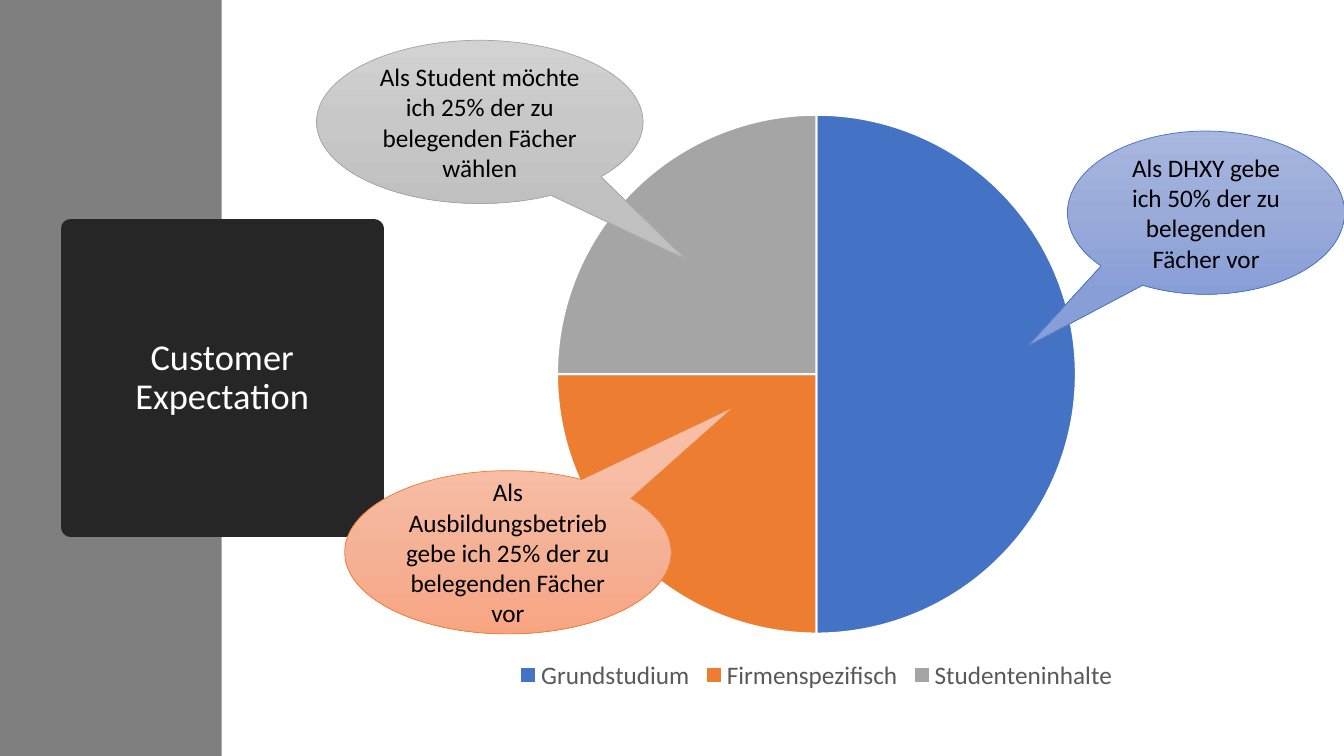
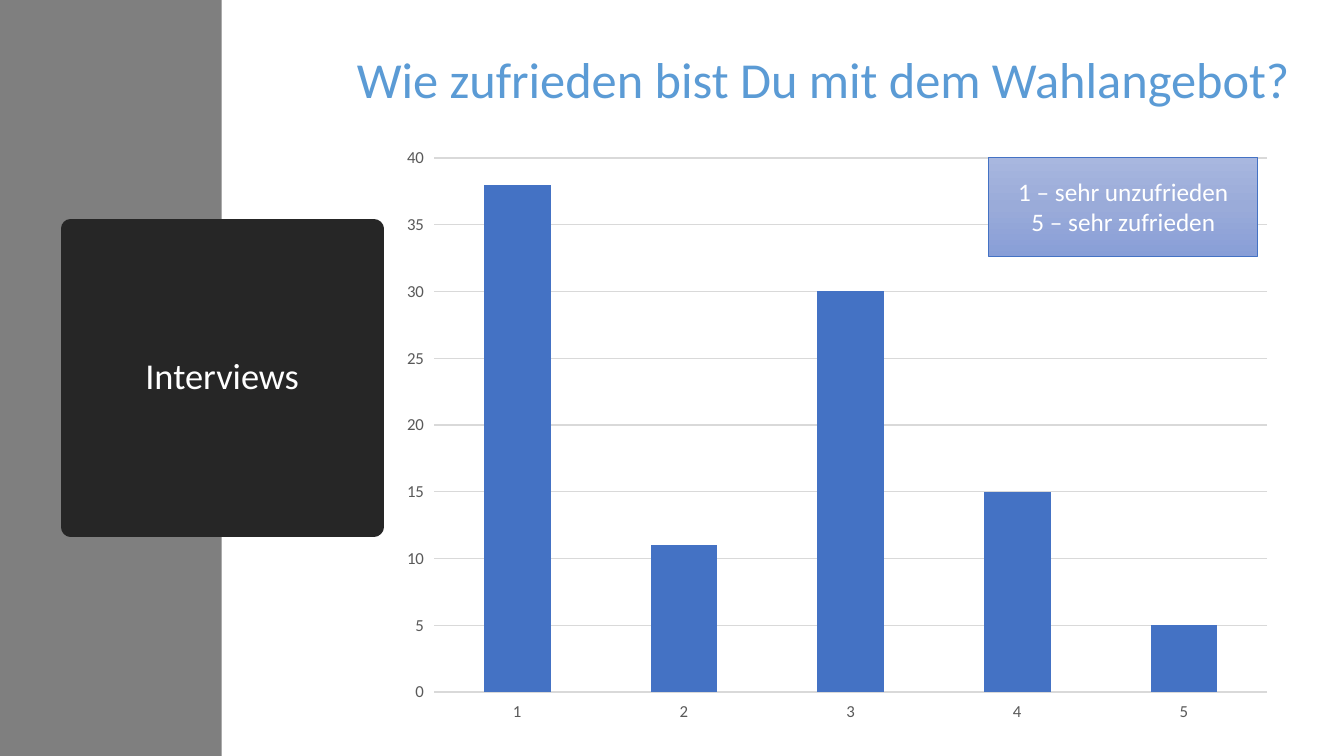
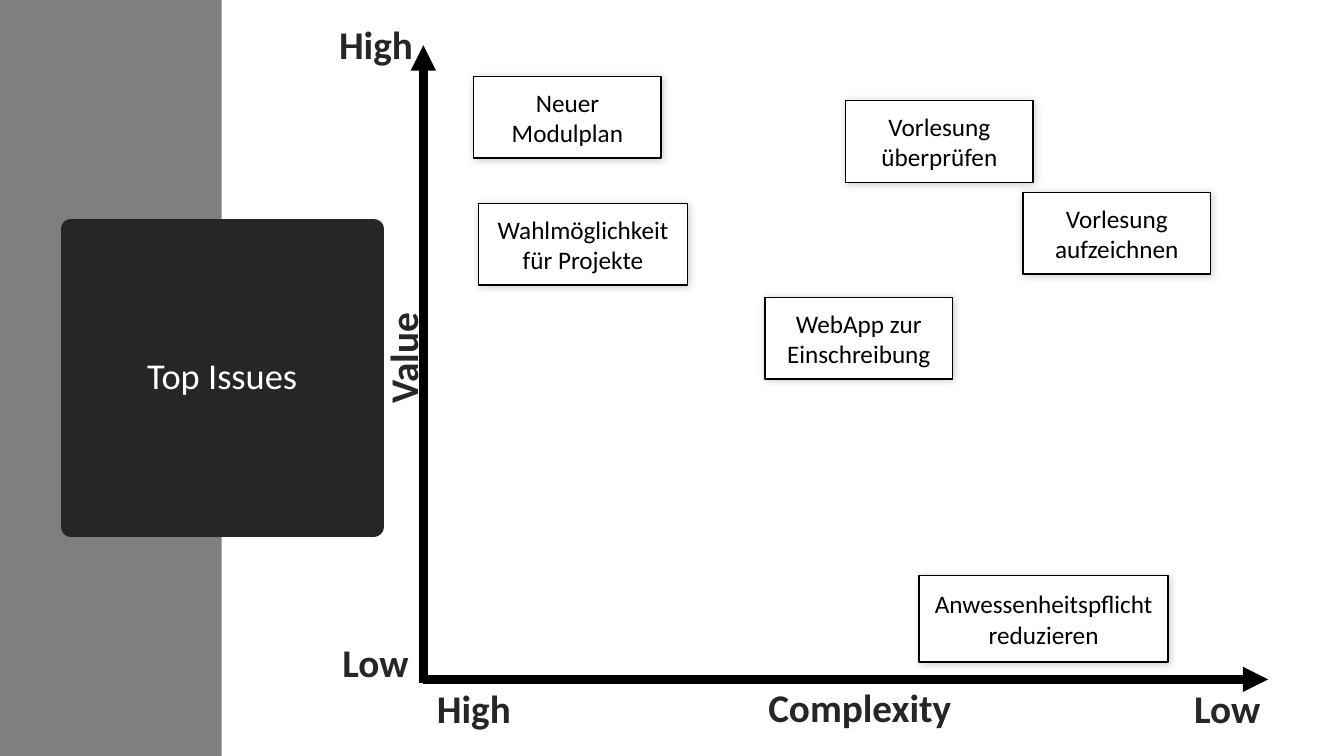
from copy import deepcopy
from dataclasses import dataclass

from lxml import etree
from pptx import Presentation
from pptx.chart.data import CategoryChartData
from pptx.dml.color import RGBColor
from pptx.enum.chart import XL_CHART_TYPE, XL_LEGEND_POSITION
from pptx.enum.shapes import MSO_CONNECTOR, MSO_SHAPE
from pptx.enum.text import MSO_ANCHOR, MSO_AUTO_SIZE, PP_ALIGN
from pptx.oxml.ns import qn
from pptx.util import Pt

RECT, CALLOUT = MSO_SHAPE.RECTANGLE, MSO_SHAPE.OVAL_CALLOUT
PIE, COLUMN = XL_CHART_TYPE.PIE, XL_CHART_TYPE.COLUMN_STACKED
BOTTOM = XL_LEGEND_POSITION.BOTTOM
STRAIGHT = MSO_CONNECTOR.STRAIGHT
MIDDLE, CENTER = MSO_ANCHOR.MIDDLE, PP_ALIGN.CENTER
GROW = MSO_AUTO_SIZE.SHAPE_TO_FIT_TEXT


@dataclass(frozen=True)
class Theme:
    font: str = "Calibri"
    band: str = "7F7F7F"
    dark: str = "262626"
    white: str = "FFFFFF"
    black: str = "000000"
    muted: str = "595959"
    grid: str = "D9D9D9"
    blue: str = "4472C4"
    orange: str = "ED7D31"
    gray: str = "A5A5A5"
    blue_grad: tuple = ("A8B7DF", "9AABD9", "889ED7")
    orange_grad: tuple = ("F7BDA5", "F5B196", "F8A582")
    gray_grad: tuple = ("D2D2D2", "C8C8C8", "C0C0C0")
    headline_grad: tuple = ("1F4E79", "5B9BD5", "9DC3E6")
    headline_size: int = 36
    label_size: int = 28
    title_size: int = 26
    body_size: int = 18
    axis_size: int = 12


T = Theme()

SLIDE_W, SLIDE_H = 960, 540
BAND_W = 158.4
TITLE_BOX = (50.4, 163.4, 216.7, 213.1)

SHARES = [("Grundstudium", 50, T.blue), ("Firmenspezifisch", 25, T.orange),
          ("Studenteninhalte", 25, T.gray)]
PIE_BOX = (226.1, 72, 714.2, 424.8)
CALLOUTS = [
    ("Als DHXY gebe ich 50% der zu belegenden Fächer vor",
     (762.5, 93.6, 198, 116.6), (-0.643, 0.817), T.blue_grad, T.blue),
    ("Als Ausbildungsbetrieb gebe ich 25% der zu belegenden Fächer vor",
     (246.2, 336.2, 233.3, 116.6), (0.693, -0.892), T.orange_grad, T.orange),
    ("Als Student möchte ich 25% der zu belegenden Fächer wählen",
     (226.1, 28.8, 233.3, 116.6), (0.63, 0.84), T.gray_grad, T.gray),
]

HEADLINE = "Wie zufrieden bist Du mit dem Wahlangebot?"
HEADLINE_BOX = (244.8, 31, 686.9, 51.1)
RATINGS = [("1", 38), ("2", 11), ("3", 30), ("4", 15), ("5", 5)]
COLUMN_BOX = (277.9, 97.2, 640.1, 427)
SCALE = ["1 – sehr unzufrieden", "5 – sehr zufrieden"]
SCALE_BOX = (706.3, 112.3, 192.2, 70.6)

AXES = [(302.4, 485.3, 905.8, 485.3), (302.4, 488.2, 302.4, 32.4)]
LABEL_H = 41
AXIS_LABELS = [
    ("High", 234.7, 10.8, 67.7, 0),
    ("Low", 236.9, 452.2, 62.6, 0),
    ("High", 304.6, 485.3, 67.7, 0),
    ("Low", 845.3, 485.3, 62.6, 0),
    ("Value", 247.7, 235.4, 79.9, 270),
    ("Complexity", 540.7, 484.6, 146.9, 0),
]
ISSUES = [
    ("Neuer Modulplan", (338.4, 54.7, 133.9, 58.3)),
    ("WebApp zur Einschreibung", (546.5, 212.4, 133.9, 58.3)),
    ("Anwessenheitspflicht reduzieren", (656.6, 411.1, 177.8, 61.9)),
    ("Vorlesung überprüfen", (604.1, 72, 133.9, 58.3)),
    ("Vorlesung aufzeichnen", (730.8, 137.5, 133.9, 58.3)),
    ("Wahlmöglichkeit für Projekte", (342, 145.4, 149, 58.3)),
]


def rgb(color):
    return RGBColor.from_string(color)


def pts(box):
    return [Pt(v) for v in box]


def add_xml(parent, tag, **attrs):
    return etree.SubElement(parent, qn(tag), {k: str(v) for k, v in attrs.items()})


def paint(fill, color):
    fill.solid()
    fill.fore_color.rgb = rgb(color)


def stroke(line, color, width):
    paint(line.fill, color)
    line.width = Pt(width)


def gradient(fill, element, colors):
    fill.gradient()
    fill.gradient_angle = 270
    stops = element.find(".//" + qn("a:gsLst"))
    stops.insert(1, deepcopy(stops[0]))
    for stop, position, color in zip(fill.gradient_stops, (0, 0.5, 1), colors):
        stop.position = position
        stop.color.rgb = rgb(color)


def style(font, size, color):
    font.name, font.size = T.font, Pt(size)
    font.color.rgb = rgb(color)


def write(tf, lines, size, color):
    runs = []
    for i, line in enumerate(lines):
        p = tf.add_paragraph() if i else tf.paragraphs[0]
        p.alignment = CENTER
        r = p.add_run()
        r.text = line
        style(r.font, size, color)
        runs.append(r)
    return runs


def add_box(slide, kind, box, lines=(), color=T.black):
    sp = slide.shapes.add_shape(kind, *pts(box))
    sp.shadow.inherit = False
    sp.text_frame.vertical_anchor = MIDDLE
    write(sp.text_frame, lines, T.body_size, color)
    return sp


def add_text(slide, box, text, size, color):
    sp = slide.shapes.add_textbox(*pts(box))
    tf = sp.text_frame
    tf.word_wrap = False
    tf.auto_size = GROW
    return sp, write(tf, [text], size, color)[0]


def add_chart(slide, kind, box, rows):
    data = CategoryChartData()
    data.categories = [row[0] for row in rows]
    data.add_series("Series 1", [row[1] for row in rows])
    chart = slide.shapes.add_chart(kind, *pts(box), data).chart
    chart.has_title = False
    chart.has_legend = False
    style(chart.font, 10, T.black)
    return chart


def new_slide(prs, title):
    slide = prs.slides.add_slide(prs.slide_layouts[5])
    band = add_box(slide, RECT, (0, 0, BAND_W, SLIDE_H))
    paint(band.fill, T.band)
    band.line.fill.background()
    slide.shapes._spTree.insert(2, band._element)

    sp = slide.shapes.title
    sp.left, sp.top, sp.width, sp.height = pts(TITLE_BOX)
    add_xml(add_xml(sp._element.spPr, "a:prstGeom", prst="ellipse"), "a:avLst")
    paint(sp.fill, T.dark)
    stroke(sp.line, T.dark, 13.75)
    add_xml(sp.line._get_or_add_ln(), "a:round")
    tf = sp.text_frame
    tf.word_wrap = True
    tf.vertical_anchor = MIDDLE
    write(tf, [title], T.title_size, T.white)
    tf.paragraphs[0].line_spacing = 0.9
    return slide


def expectation_slide(prs):
    slide = new_slide(prs, "Customer Expectation")
    chart = add_chart(slide, PIE, PIE_BOX, SHARES)
    chart.has_legend = True
    chart.legend.position = BOTTOM
    chart.legend.include_in_layout = False
    style(chart.legend.font, T.body_size, T.muted)
    plot = chart.plots[0]
    plot.vary_by_categories = True
    for i, (_, _, color) in enumerate(SHARES):
        point = plot.series[0].points[i].format
        paint(point.fill, color)
        stroke(point.line, T.white, 1.5)
    for text, box, tip, colors, line in CALLOUTS:
        sp = add_box(slide, CALLOUT, box, [text])
        sp.adjustments[0], sp.adjustments[1] = tip
        gradient(sp.fill, sp._element, colors)
        stroke(sp.line, line, 0.5)


def interview_slide(prs):
    slide = new_slide(prs, "Interviews")
    _, r = add_text(slide, HEADLINE_BOX, HEADLINE, T.headline_size, T.blue)
    gradient(r.font.fill, r._r, T.headline_grad)

    chart = add_chart(slide, COLUMN, COLUMN_BOX, RATINGS)
    plot = chart.plots[0]
    plot.vary_by_categories = False
    plot.gap_width, plot.overlap = 150, 100
    paint(plot.series[0].format.fill, T.blue)
    for axis in (chart.category_axis, chart.value_axis):
        style(axis.tick_labels.font, T.axis_size, T.muted)
        axis.format.line.fill.background()
    chart.value_axis.maximum_scale = 40
    chart.value_axis.minimum_scale = 0
    chart.value_axis.major_unit = 5
    stroke(chart.value_axis.major_gridlines.format.line, T.grid, 0.75)

    sp = add_box(slide, RECT, SCALE_BOX, SCALE, T.white)
    gradient(sp.fill, sp._element, T.blue_grad)
    stroke(sp.line, T.blue, 0.5)


def outline_text(r):
    ln = add_xml(r._r.get_or_add_rPr(), "a:ln", w=Pt(1.06))
    add_xml(add_xml(ln, "a:solidFill"), "a:srgbClr", val=T.white)
    r._r.rPr.insert(0, ln)


def cast_shadow(sp):
    effects = sp._element.spPr.find(qn("a:effectLst"))
    shadow = add_xml(effects, "a:outerShdw", blurRad=Pt(6), dist=Pt(1),
                     dir=45 * 60000, algn="tl", rotWithShape=0)
    add_xml(add_xml(shadow, "a:srgbClr", val=T.black), "a:alpha", val=20000)


def issues_slide(prs):
    slide = new_slide(prs, "Top Issues")
    for ends in AXES:
        axis = slide.shapes.add_connector(STRAIGHT, *pts(ends))
        stroke(axis.line, T.black, 6)
        add_xml(axis.line._get_or_add_ln(), "a:tailEnd", type="triangle")
        add_xml(axis._element.spPr, "a:effectLst")
    for text, x, y, w, angle in AXIS_LABELS:
        sp, r = add_text(slide, (x, y, w, LABEL_H), text, T.label_size, T.dark)
        sp.rotation = angle
        r.font.bold = True
        outline_text(r)
    for text, box in ISSUES:
        sp = add_box(slide, RECT, box, [text])
        paint(sp.fill, T.white)
        stroke(sp.line, T.black, 1)
        cast_shadow(sp)


def main():
    prs = Presentation()
    prs.slide_width, prs.slide_height = Pt(SLIDE_W), Pt(SLIDE_H)
    expectation_slide(prs)
    interview_slide(prs)
    issues_slide(prs)
    prs.save("out.pptx")


if __name__ == "__main__":
    main()
